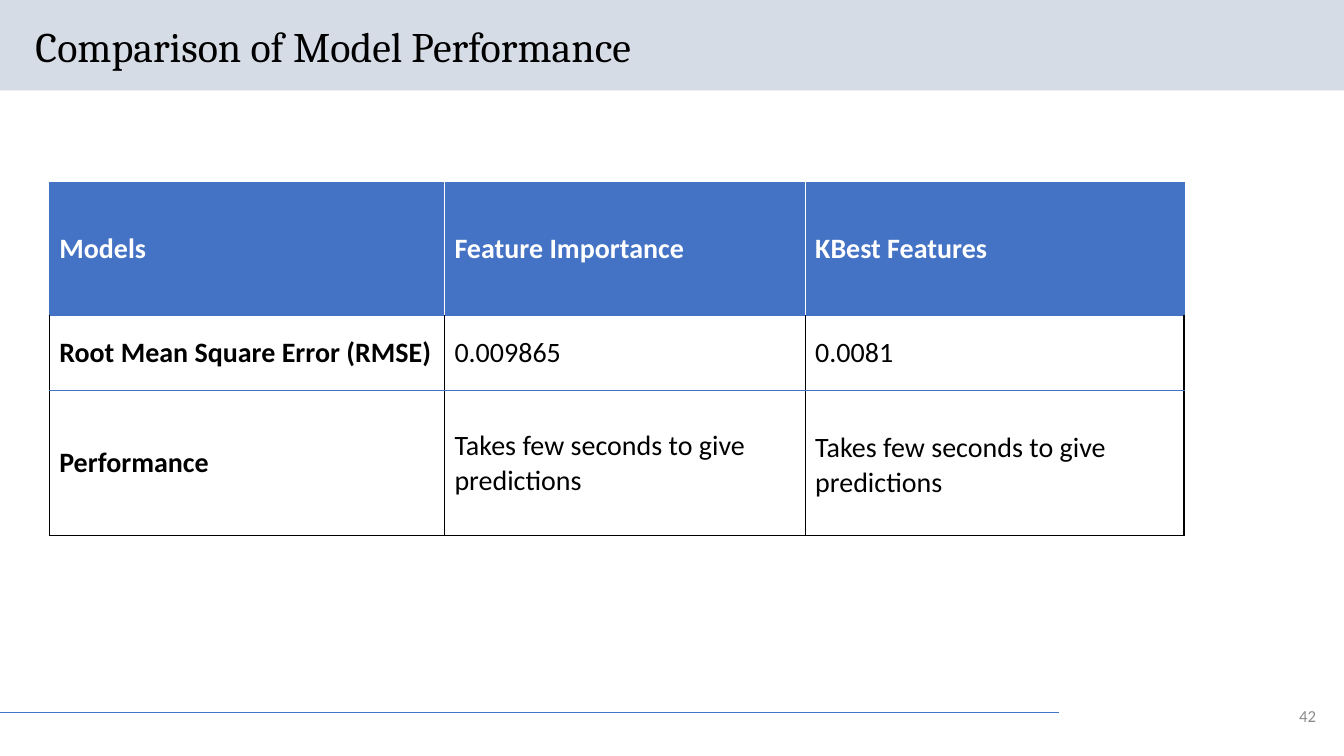
"""Build the slide that compares the performance of two models."""
from lxml.etree import SubElement
from pptx import Presentation
from pptx.dml.color import RGBColor
from pptx.enum.shapes import MSO_CONNECTOR as Connector, MSO_SHAPE as Preset
from pptx.enum.text import MSO_ANCHOR as Anchor, MSO_AUTO_SIZE as AutoSize, PP_ALIGN as Align
from pptx.oxml.ns import qn
from pptx.util import Cm, Pt

COLORS = {"band": "D6DCE5", "blue": "4472C4", "black": "000000",
          "white": "FFFFFF", "grey": "8C8C8C"}


def write(frame, text, size=20, font="Calibri", color="black", bold=False,
          align=Align.LEFT, spacing=1.0):
    frame.word_wrap = True
    frame.vertical_anchor = Anchor.MIDDLE
    paragraph = frame.paragraphs[0]
    paragraph.alignment = align
    paragraph.line_spacing = spacing
    run = paragraph.add_run()
    run.text = text
    run.font.size = Pt(size)
    run.font.name = font
    run.font.bold = bold
    run.font.color.rgb = RGBColor.from_string(COLORS[color])


def set_border(cell, side, color):
    line = SubElement(cell._tc.get_or_add_tcPr(), qn(f"a:ln{side}"), w=str(Pt(1)))
    fill = SubElement(line, qn("a:solidFill"))
    SubElement(fill, qn("a:srgbClr"), val=COLORS[color])


prs = Presentation()
prs.slide_width, prs.slide_height = Cm(33.87), Cm(19.05)
slide = prs.slides.add_slide(prs.slide_layouts[5])
shapes = slide.shapes

header_band = shapes.add_shape(Preset.RECTANGLE, 0, 0, prs.slide_width, Cm(2.28))
header_band.shadow.inherit = False
header_band.fill.solid()
header_band.fill.fore_color.rgb = RGBColor.from_string(COLORS["band"])
header_band.line.fill.background()
shapes._spTree.insert(2, header_band._element)

footer_rule = shapes.add_connector(Connector.STRAIGHT, 0, Cm(17.94), Cm(26.69), Cm(17.94))
footer_rule.line.color.rgb = RGBColor.from_string(COLORS["blue"])
footer_rule.line.width = Pt(0.5)
SubElement(footer_rule._element.spPr, qn("a:effectLst"))

heading = shapes.title
heading.left, heading.top, heading.width, heading.height = Cm(0.64), Cm(0.53), Cm(29.21), Cm(1.42)
heading.text_frame.auto_size = AutoSize.NONE
write(heading.text_frame, "Comparison of Model Performance", size=30, font="Cambria", spacing=0.9)

results = [
    ["Models", "Feature Importance", "KBest Features"],
    ["Root Mean Square Error (RMSE)", "0.009865", "0.0081"],
    ["Performance"] + ["Takes few seconds to give predictions"] * 2,
]
column_widths = [Cm(9.96), Cm(9.09), Cm(9.55)]
row_heights = [Cm(3.35), Cm(1.9), Cm(3.65)]
comparison = shapes.add_table(3, 3, Cm(1.24), Cm(4.6), sum(column_widths), sum(row_heights)).table
comparison.horz_banding = False
for column, width in zip(comparison.columns, column_widths):
    column.width = width
for row, height in zip(comparison.rows, row_heights):
    row.height = height

for r, values in enumerate(results):
    for c, value in enumerate(values):
        cell = comparison.cell(r, c)
        is_header = r == 0
        inner = "white" if is_header else "black"
        set_border(cell, "L", "blue" if is_header and c == 0 else inner)
        set_border(cell, "R", "blue" if is_header and c == 2 else inner)
        set_border(cell, "T", "blue")
        set_border(cell, "B", "black" if r == 2 else "blue")
        if is_header:
            cell.fill.solid()
            cell.fill.fore_color.rgb = RGBColor.from_string(COLORS["blue"])
        else:
            cell.fill.background()
        write(cell.text_frame, value, color=inner, bold=is_header or c == 0)
        cell.vertical_anchor = Anchor.MIDDLE
comparison.cell(2, 2).margin_top = Cm(0.23)

page_number = shapes.add_textbox(Cm(32.33), Cm(17.63), Cm(1.09), Cm(0.81))
write(page_number.text_frame, "42", size=12, color="grey", align=Align.RIGHT)

prs.save("out.pptx")
